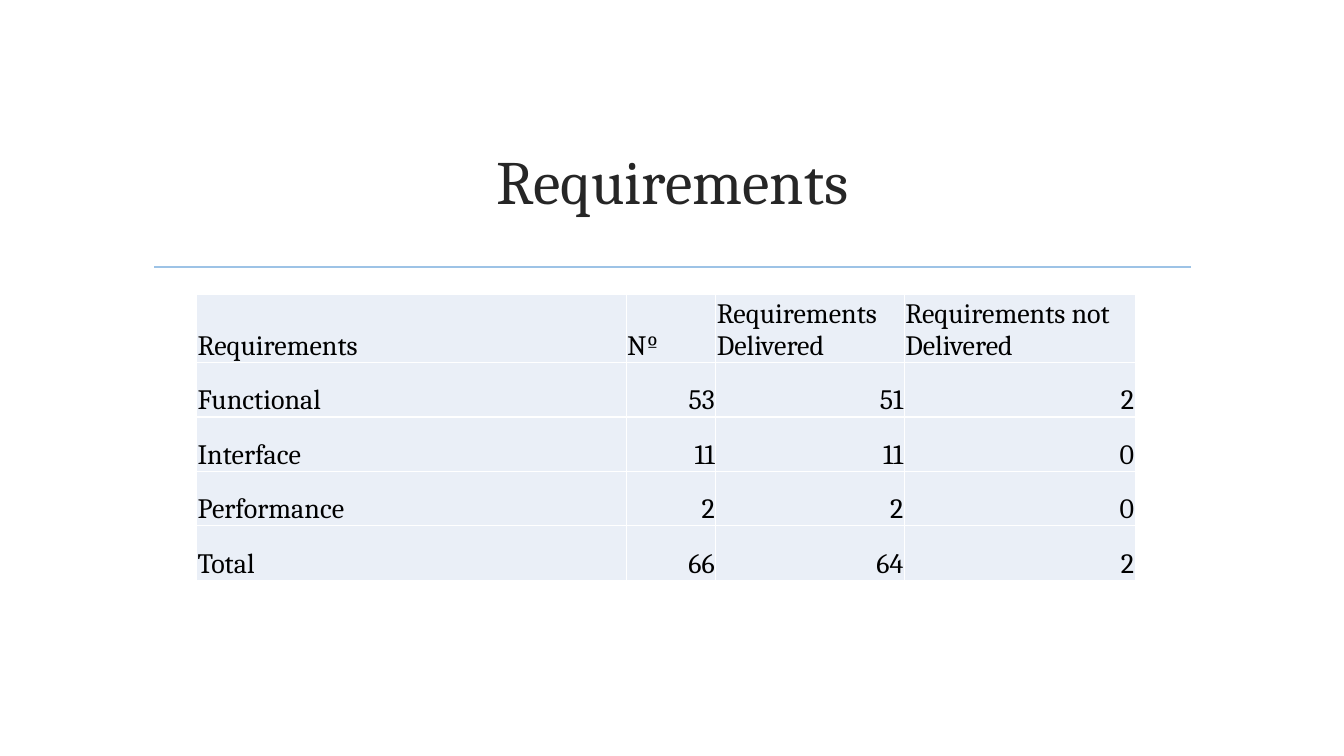
from lxml import etree
from pptx import Presentation
from pptx import util as u
from pptx.dml.color import RGBColor
from pptx.enum import shapes, text
from pptx.oxml import ns

TITLE = "Requirements"
HEAD = ("Requirements", "Nº", "Requirements Delivered", "Requirements not Delivered")
COUNTS = [
    ("Functional", 53, 51, 2),
    ("Interface", 11, 11, 0),
    ("Performance", 2, 2, 0),
    ("Total", 66, 64, 2),
]
WIDTHS = (4.26, 0.89, 1.87, 2.29)
ROW = 0.54
FONT = "Cambria"
HUES = {"title": "262626", "rule": "9DC3E6", "cell": "EAEFF7", "edge": "FFFFFF", "text": "000000"}


def hue(name):
    return RGBColor.from_string(HUES[name])


def style(para, size, name, align):
    para.font.name = FONT
    para.font.size = u.Pt(size)
    para.font.color.rgb = hue(name)
    para.alignment = align


def edge(cell):
    props = cell._tc.get_or_add_tcPr()
    for side in ("a:lnL", "a:lnR", "a:lnT", "a:lnB"):
        line = etree.SubElement(props, ns.qn(side), w=str(u.Pt(1)))
        fill = etree.SubElement(line, ns.qn("a:solidFill"))
        etree.SubElement(fill, ns.qn("a:srgbClr"), val=HUES["edge"])


deck = Presentation()
deck.slide_width, deck.slide_height = u.Inches(13.33), u.Inches(7.5)
slide = deck.slides.add_slide(deck.slide_layouts[6])

rule = slide.shapes.add_connector(
    shapes.MSO_CONNECTOR.STRAIGHT, *map(u.Inches, (1.53, 2.65, 11.81, 2.65)))
rule.line.color.rgb = hue("rule")
rule.line.width = u.Pt(1.25)
etree.SubElement(rule._element.spPr, ns.qn("a:effectLst"))

frame = slide.shapes.add_textbox(*map(u.Inches, (1.42, 1.07, 10.5, 1.43))).text_frame
frame.word_wrap = True
frame.vertical_anchor = text.MSO_ANCHOR.MIDDLE
frame.text = TITLE
style(frame.paragraphs[0], 44, "title", text.PP_ALIGN.CENTER)

rows = [HEAD, *COUNTS]
table = slide.shapes.add_table(
    len(rows), len(HEAD),
    *map(u.Inches, (1.95, 2.92, sum(WIDTHS), ROW * len(rows)))).table
table.first_row = table.horz_banding = False
for col, width in zip(table.columns, WIDTHS):
    col.width = u.Inches(width)
for r, row in enumerate(rows):
    table.rows[r].height = u.Inches(ROW)
    for c, value in enumerate(row):
        cell = table.cell(r, c)
        cell.text = str(value)
        cell.vertical_anchor = text.MSO_ANCHOR.BOTTOM
        cell.margin_left = cell.margin_right = cell.margin_top = u.Inches(0.01)
        cell.margin_bottom = 0
        edge(cell)
        cell.fill.solid()
        cell.fill.fore_color.rgb = hue("cell")
        side = text.PP_ALIGN.RIGHT if isinstance(value, int) else text.PP_ALIGN.LEFT
        style(cell.text_frame.paragraphs[0], 20, "text", side)

deck.save("out.pptx")
